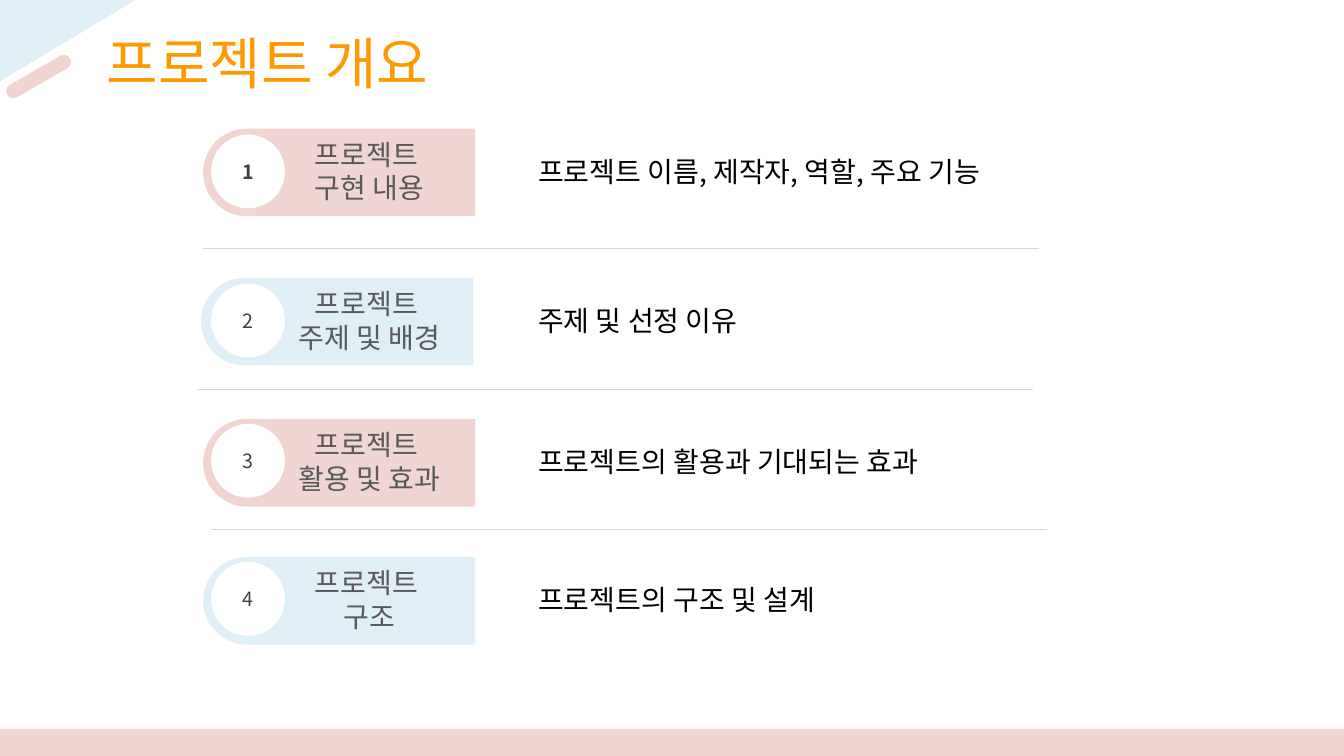
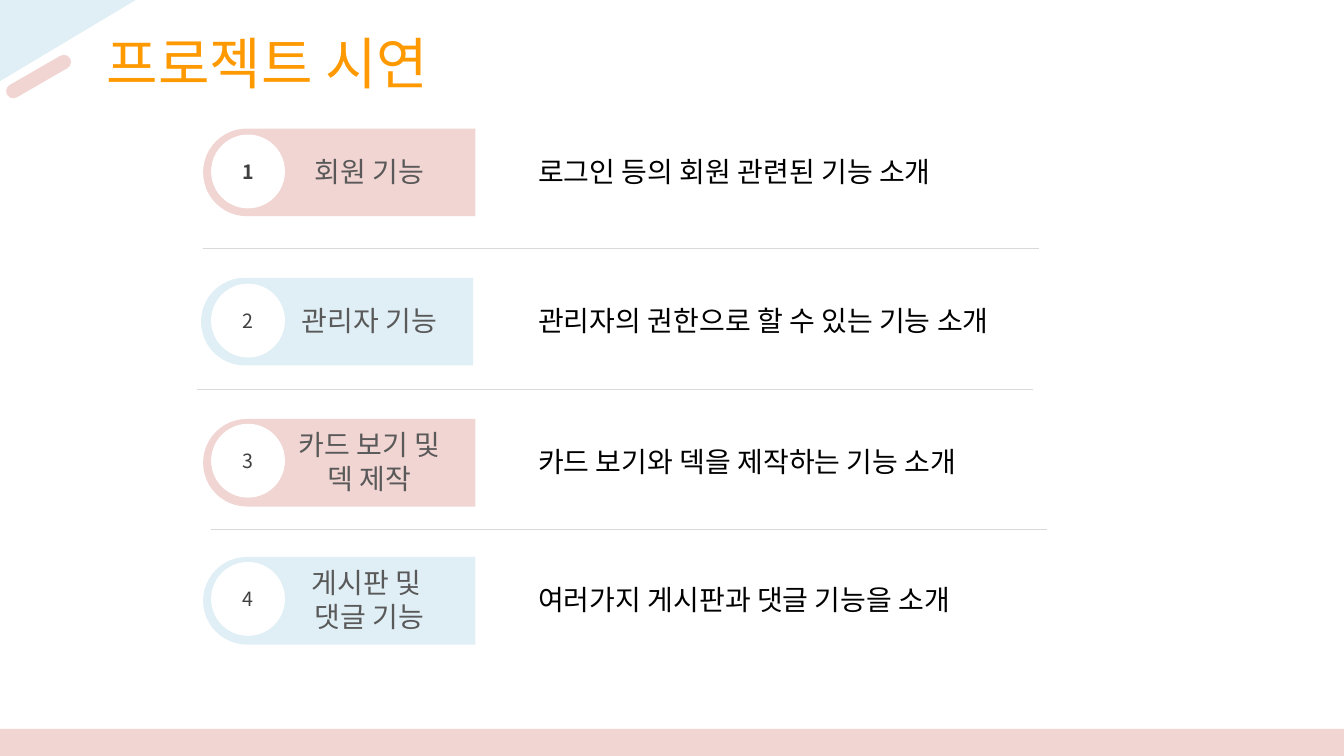
import pptx
import pptx.util
import pptx.dml.color
import pptx.enum.shapes
import pptx.enum.text
import pptx.oxml.ns
from lxml import etree

Pt = pptx.util.Pt
RGBColor = pptx.dml.color.RGBColor
SHAPE = pptx.enum.shapes.MSO_SHAPE
ANCHOR = pptx.enum.text.MSO_ANCHOR
ALIGN = pptx.enum.text.PP_ALIGN

PINK = RGBColor(0xF1, 0xD5, 0xD2)
BLUE = RGBColor(0xE0, 0xEF, 0xF6)
WHITE = RGBColor(0xFF, 0xFF, 0xFF)
BLACK = RGBColor(0, 0, 0)
ORANGE = RGBColor(0xFF, 0x99, 0x00)
DARK = RGBColor(0x40, 0x40, 0x40)
GRAY = RGBColor(0x59, 0x59, 0x59)
RULE = RGBColor(0xD9, 0xD9, 0xD9)

FONT_KR = "Noto Sans CJK KR"
FONT_SC = "Noto Sans CJK SC"
TITLE_STYLE = {"size": Pt(40), "name": FONT_KR, "color": ORANGE, "bold": False}
NUMBER_STYLE = {"size": Pt(14), "name": FONT_KR, "color": DARK}
LABEL_STYLE = {"size": Pt(20), "name": FONT_SC, "color": GRAY}
DETAIL_STYLE = {"size": Pt(20), "name": FONT_KR, "color": BLACK}

PAGE_WIDTH, PAGE_HEIGHT = 960, 540
TAB_WIDTH, TAB_HEIGHT = 194.4, 62.6
RULE_WIDTH = 597.6
# Middle of each row, left edge of its tab, top of its number circle
ROWS = [(123.1, 145.1, 96.5), (229.7, 143.6, 203),
        (330.5, 145.1, 303.1), (429.1, 145.1, 401.8)]
RULES = [(144.7, 177.1), (140.4, 277.9), (150.5, 378)]

SLIDES = [
    ("프로젝트 개요", [
        (["프로젝트 ", "구현 내용"], "프로젝트 이름, 제작자, 역할, 주요 기능"),
        (["프로젝트 ", "주제 및 배경"], "주제 및 선정 이유"),
        (["프로젝트 ", "활용 및 효과"], "프로젝트의 활용과 기대되는 효과"),
        (["프로젝트 ", "구조"], "프로젝트의 구조 및 설계"),
    ]),
    ("프로젝트 시연", [
        (["회원 기능"], "로그인 등의 회원 관련된 기능 소개"),
        (["관리자 기능"], "관리자의 권한으로 할 수 있는 기능 소개"),
        (["카드 보기 및", "덱 제작"], "카드 보기와 덱을 제작하는 기능 소개"),
        (["게시판 및 ", "댓글 기능"], "여러가지 게시판과 댓글 기능을 소개"),
    ]),
]


def write(frame, lines, style, align, spacing=None):
    for index, line in enumerate(lines):
        para = frame.paragraphs[0] if index == 0 else frame.add_paragraph()
        para.alignment = align
        para.line_spacing = spacing
        span = para.add_run()
        span.text = line
        for name, value in style.items():
            if name == "color":
                span.font.color.rgb = value
            else:
                setattr(span.font, name, value)
        east_asian = etree.SubElement(span.font._element, pptx.oxml.ns.qn("a:ea"))
        east_asian.set("typeface", style["name"])


def paint(shape, color):
    shape.shadow.inherit = False
    shape.fill.solid()
    shape.fill.fore_color.rgb = color
    shape.line.fill.background()
    return shape


def add_filled(page, kind, left, top, width, height, color):
    return paint(page.shapes.add_shape(kind, Pt(left), Pt(top), Pt(width), Pt(height)), color)


def add_text(page, left, top, width, height, anchor):
    frame = page.shapes.add_textbox(Pt(left), Pt(top), Pt(width), Pt(height)).text_frame
    frame.word_wrap = True
    frame.vertical_anchor = anchor
    return frame


def decorate_layout(layout, page):
    """Draw the corner and the bottom band on a page, then move them to its layout."""
    outline = page.shapes.build_freeform(0, 0, scale=Pt(1))
    outline.add_line_segments([(97, 0), (0, 58)], close=True)
    corner = paint(outline.convert_to_shape(), BLUE)
    band = add_filled(page, SHAPE.RECTANGLE, 0, 520.6, PAGE_WIDTH, 19.4, PINK)
    stripe = add_filled(page, SHAPE.ROUNDED_RECTANGLE, 1.6, 49.6, 52, 10.2, PINK)
    stripe.adjustments[0] = 0.5
    stripe.rotation = 330
    for index, shape in enumerate((corner, band, stripe)):
        layout.element.cSld.spTree.insert(2 + index, shape.element)


def set_title(page, text):
    title = page.shapes.title
    for name, value in {"left": 48.2, "top": 16.6, "width": 285.8, "height": 87.1}.items():
        setattr(title, name, Pt(value))
    frame = title.text_frame
    frame.auto_size = pptx.enum.text.MSO_AUTO_SIZE.NONE
    frame.vertical_anchor = ANCHOR.TOP
    write(frame, [text], TITLE_STYLE, ALIGN.CENTER)


def add_tab(page, left, middle, color):
    """Add a tab with a round left end, as an upright shape turned on its side."""
    center = left + TAB_WIDTH / 2
    tab = add_filled(page, SHAPE.ROUND_2_SAME_RECTANGLE, center - TAB_HEIGHT / 2,
                     middle - TAB_WIDTH / 2, TAB_HEIGHT, TAB_WIDTH, color)
    tab.adjustments[0] = 0.5
    tab.adjustments[1] = 0
    tab.rotation = 270


def add_number(page, number, top):
    circle = add_filled(page, SHAPE.OVAL, 151.2, top, 52, 52, WHITE)
    circle.line.color.rgb = WHITE
    circle.line.width = Pt(0.75)
    frame = circle.text_frame
    for side in ("left", "top", "right", "bottom"):
        setattr(frame, "margin_" + side, 0)
    frame.vertical_anchor = ANCHOR.MIDDLE
    write(frame, [str(number)], NUMBER_STYLE | {"bold": number == 1}, ALIGN.CENTER)


def add_row(page, number, label, detail):
    middle, left, circle_top = ROWS[number - 1]
    add_tab(page, left, middle, PINK if number % 2 else BLUE)
    add_number(page, number, circle_top)
    label_frame = add_text(page, 174.2, middle - 23, 179.3, 44, ANCHOR.MIDDLE)
    write(label_frame, label, LABEL_STYLE, ALIGN.CENTER)
    detail_frame = add_text(page, 377.3, middle - 21.2, 397.4, 41, ANCHOR.TOP)
    write(detail_frame, [detail], DETAIL_STYLE, ALIGN.LEFT, 1.2)


def add_rule(page, left, top):
    rule = page.shapes.add_connector(pptx.enum.shapes.MSO_CONNECTOR.STRAIGHT,
                                     Pt(left), Pt(top), Pt(left + RULE_WIDTH), Pt(top))
    rule.line.color.rgb = RULE
    rule.line.width = Pt(0.5)
    etree.SubElement(rule.element.spPr, pptx.oxml.ns.qn("a:effectLst"))


def add_list_page(page, title, rows):
    set_title(page, title)
    for number, (label, detail) in enumerate(rows, 1):
        add_row(page, number, label, detail)
    for left, top in RULES:
        add_rule(page, left, top)


def main():
    deck = pptx.Presentation()
    deck.slide_width, deck.slide_height = Pt(PAGE_WIDTH), Pt(PAGE_HEIGHT)
    layout = deck.slide_layouts.get_by_name("Title Only")
    for index, (title, rows) in enumerate(SLIDES):
        page = deck.slides.add_slide(layout)
        if index == 0:
            decorate_layout(layout, page)
        add_list_page(page, title, rows)
    deck.save("out.pptx")


if __name__ == "__main__":
    main()
